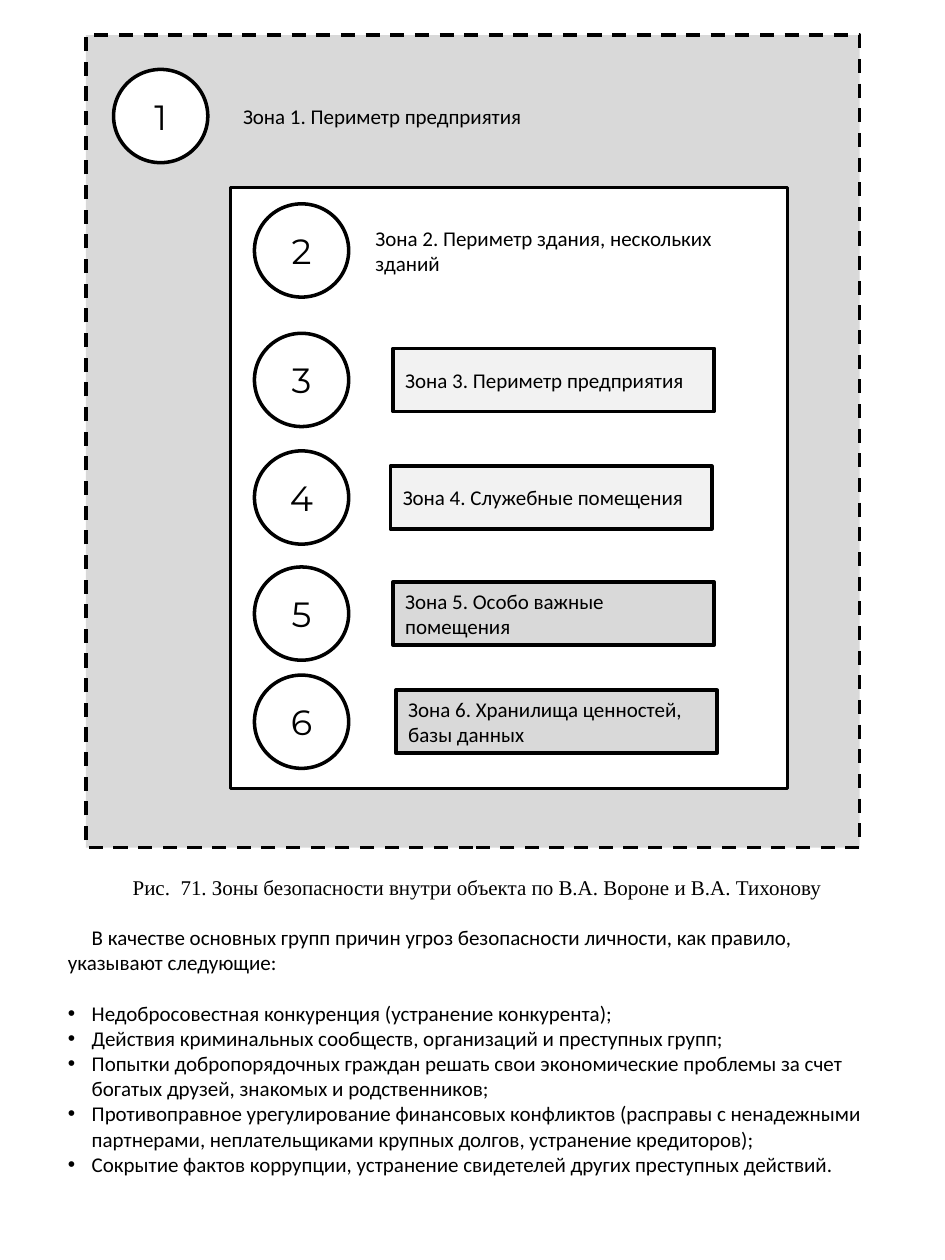
from dataclasses import dataclass

from lxml import etree
from pptx import Presentation
from pptx.dml.color import RGBColor
from pptx.enum.dml import MSO_LINE
from pptx.enum.shapes import MSO_SHAPE
from pptx.enum.text import MSO_ANCHOR, PP_ALIGN
from pptx.oxml.ns import qn
from pptx.util import Cm, Pt

RECTANGLE = MSO_SHAPE.RECTANGLE
OVAL = MSO_SHAPE.OVAL
DASH = MSO_LINE.DASH
MIDDLE = MSO_ANCHOR.MIDDLE
LEFT = PP_ALIGN.LEFT
CENTER = PP_ALIGN.CENTER


@dataclass(frozen=True)
class Theme:
    white: str = "FFFFFF"
    black: str = "000000"
    pale: str = "F2F2F2"
    grey: str = "D9D9D9"
    body_font: str = "Calibri"
    number_font: str = "Montserrat"
    caption_font: str = "Times New Roman"
    body_size: float = 12
    number_size: float = 20
    line_width: float = 2
    paragraph_gap: float = 14.4
    indent: float = 0.48


THEME = Theme()

CIRCLE_WIDTH, CIRCLE_HEIGHT = 1.9, 1.88
LABEL_HEIGHT = 1.27
LABEL_OFFSET = (CIRCLE_HEIGHT - LABEL_HEIGHT) / 2
OUTER_LEFT, INNER_LEFT = 2.29, 5.13

ZONES = [
    (OUTER_LEFT, 1.4, 4.65, 6.48, THEME.grey, THEME.grey, "Периметр предприятия"),
    (INNER_LEFT, 4.11, 7.32, 7.8, THEME.white, THEME.white,
     "Периметр здания, нескольких зданий"),
    (INNER_LEFT, 6.72, 7.92, 6.48, THEME.pale, THEME.black, "Периметр предприятия"),
    (INNER_LEFT, 9.09, 7.87, 6.48, THEME.pale, THEME.black, "Служебные помещения"),
    (INNER_LEFT, 11.43, 7.92, 6.48, THEME.grey, THEME.black, "Особо важные помещения"),
    (INNER_LEFT, 13.61, 7.98, 6.48, THEME.grey, THEME.black,
     "Хранилища ценностей, базы данных"),
]

CAPTION = "Рис.  71. Зоны безопасности внутри объекта по В.А. Вороне и В.А. Тихонову"
INTRODUCTION = ("В качестве основных групп причин угроз безопасности личности, "
                "как правило, указывают следующие:")
CAUSES = [
    "Недобросовестная конкуренция (устранение конкурента);",
    "Действия криминальных сообществ, организаций и преступных групп;",
    "Попытки добропорядочных граждан решать свои экономические проблемы за счет "
    "богатых друзей, знакомых и родственников;",
    "Противоправное урегулирование финансовых конфликтов (расправы с ненадежными "
    "партнерами, неплательщиками крупных долгов, устранение кредиторов);",
    "Сокрытие фактов коррупции, устранение свидетелей других преступных действий.",
]


def write_text(paragraph, text, font=THEME.body_font, size=THEME.body_size,
               align=LEFT, first_indent=0, space_after=0, bullet=False):
    paragraph.alignment = align
    paragraph.space_after = Pt(space_after)
    run = paragraph.add_run()
    run.text = text
    run.font.name = font
    run.font.size = Pt(size)
    run.font.color.rgb = RGBColor.from_string(THEME.black)
    properties = paragraph._p.get_or_add_pPr()
    if first_indent:
        properties.set("indent", str(Cm(first_indent)))
    if bullet:
        properties.set("marL", str(Cm(THEME.indent)))
        properties.set("indent", str(-Cm(THEME.indent)))
        etree.SubElement(properties, qn("a:buFont")).set("typeface", "Arial")
        etree.SubElement(properties, qn("a:buChar")).set("char", "•")


class ZoneSlide:
    def __init__(self, slide, theme):
        self.slide = slide
        self.theme = theme

    def box(self, left, top, width, height, fill, line, kind=RECTANGLE, dash=None):
        shape = self.slide.shapes.add_shape(
            kind, Cm(left), Cm(top), Cm(width), Cm(height))
        shape.shadow.inherit = False
        shape.fill.solid()
        shape.fill.fore_color.rgb = RGBColor.from_string(fill)
        shape.line.color.rgb = RGBColor.from_string(line)
        shape.line.width = Pt(self.theme.line_width)
        if dash is not None:
            shape.line.dash_style = dash
        shape.text_frame.word_wrap = True
        shape.text_frame.vertical_anchor = MIDDLE
        return shape

    def number(self, left, top, number):
        shape = self.box(left, top, CIRCLE_WIDTH, CIRCLE_HEIGHT,
                         self.theme.white, self.theme.black, kind=OVAL)
        write_text(shape.text_frame.paragraphs[0], str(number), align=CENTER,
                   font=self.theme.number_font, size=self.theme.number_size)

    def label(self, left, top, width, fill, line, text):
        shape = self.box(left, top, width, LABEL_HEIGHT, fill, line)
        write_text(shape.text_frame.paragraphs[0], text)

    def caption(self, left, top, width, height, text):
        shape = self.box(left, top, width, height, self.theme.white, self.theme.white)
        write_text(shape.text_frame.paragraphs[0], text,
                   font=self.theme.caption_font, align=CENTER)

    def causes(self, left, top, width, height, introduction, items):
        shape = self.box(left, top, width, height, self.theme.white, self.theme.white)
        frame = shape.text_frame
        write_text(frame.paragraphs[0], introduction, first_indent=self.theme.indent,
                   space_after=self.theme.paragraph_gap)
        for item in items:
            write_text(frame.add_paragraph(), item, bullet=True)


def main():
    presentation = Presentation()
    presentation.slide_width = Cm(19.05)
    presentation.slide_height = Cm(25.4)
    blank_layout = presentation.slide_layouts[6]
    page = ZoneSlide(presentation.slides.add_slide(blank_layout), THEME)

    page.causes(1.12, 18.26, 16.79, 5.84, INTRODUCTION, CAUSES)
    page.caption(2.03, 17.5, 15.19, 0.76, CAPTION)
    page.box(1.73, 0.71, 15.6, 16.38, THEME.grey, THEME.black, dash=DASH)
    page.box(4.65, 3.78, 11.23, 12.12, THEME.white, THEME.black)
    for number, zone in enumerate(ZONES, start=1):
        circle_left, top, label_left, width, fill, line, name = zone
        page.number(circle_left, top, number)
        page.label(label_left, top + LABEL_OFFSET, width, fill, line,
                   f"Зона {number}. {name}")

    presentation.save("out.pptx")


if __name__ == "__main__":
    main()
